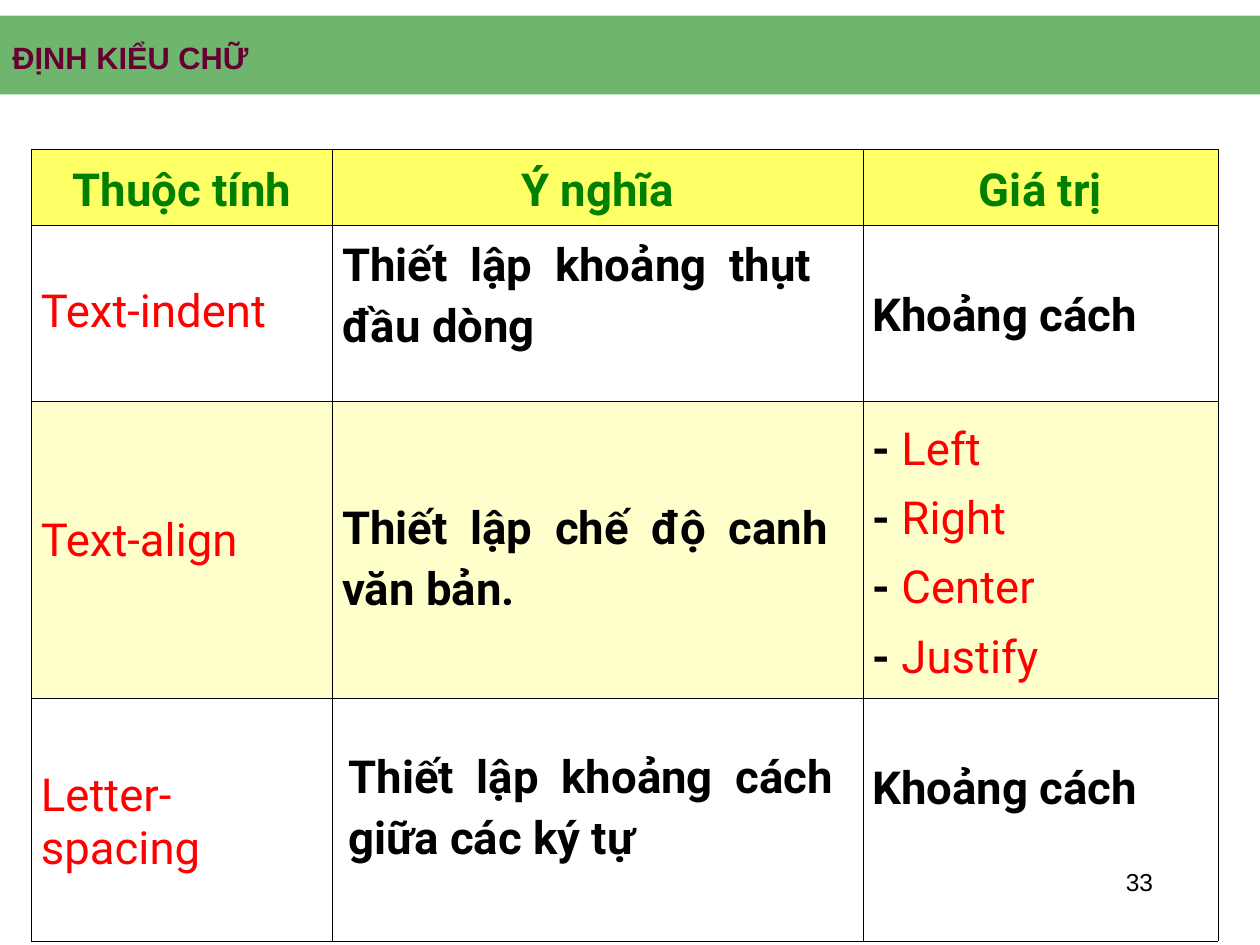
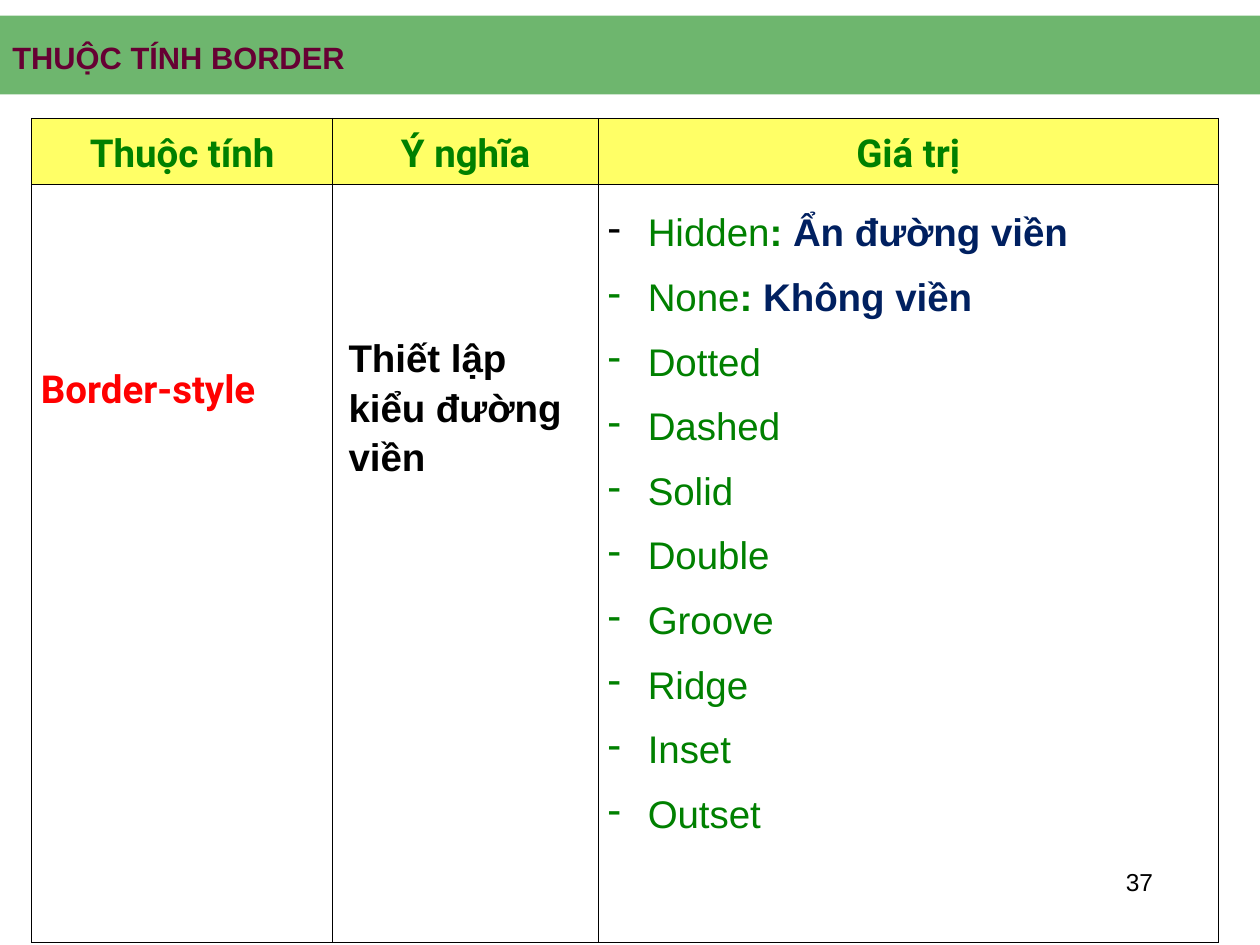
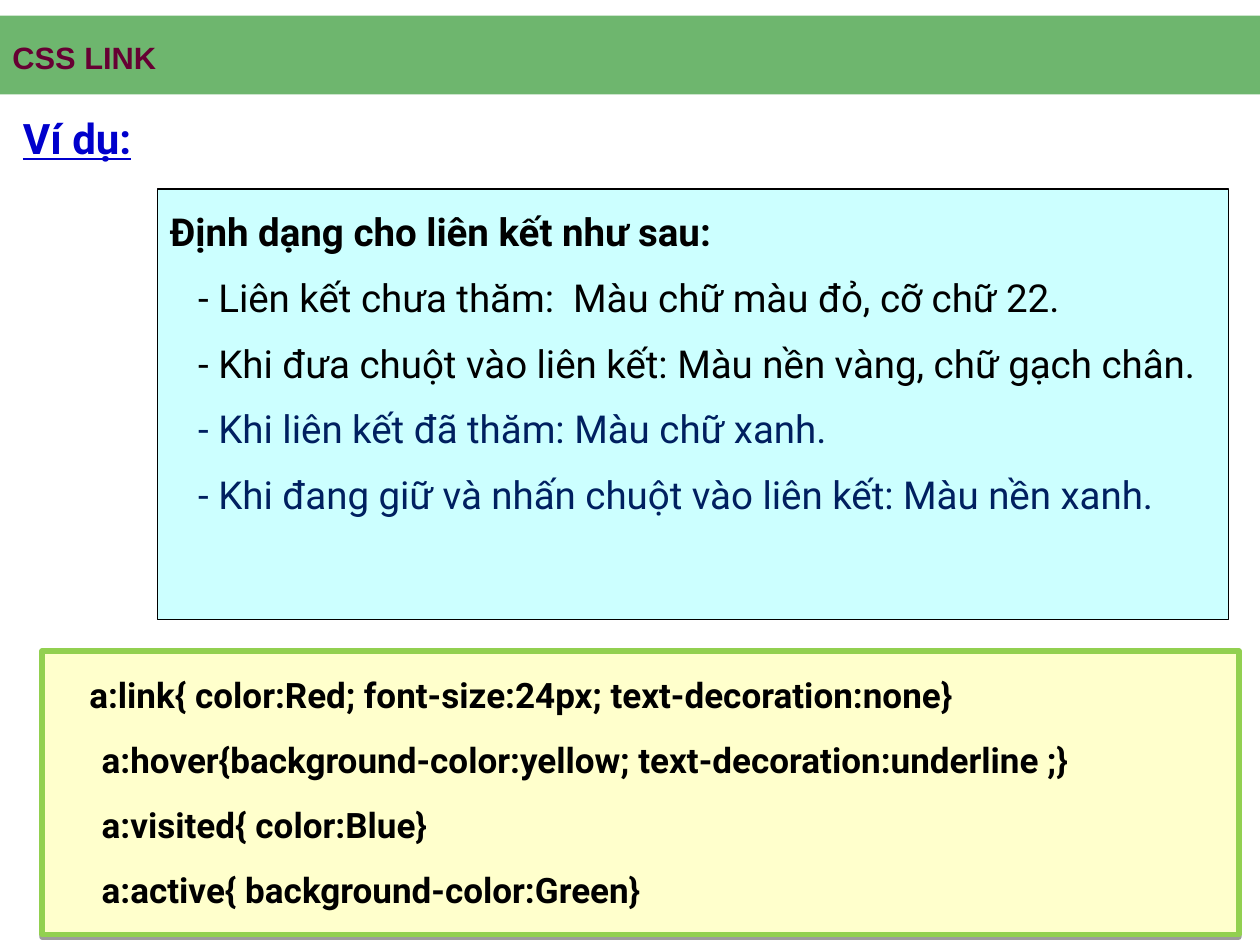
from dataclasses import dataclass

from lxml import etree
from pptx import Presentation
from pptx import util as u
from pptx.dml.color import RGBColor
from pptx.enum import shapes, text
from pptx.oxml import ns


@dataclass(frozen=True)
class Theme:
    green: str = "008000"
    plum: str = "660033"
    black: str = "000000"
    red: str = "FF0000"
    navy: str = "002060"
    blue: str = "0000CC"
    lime: str = "92D050"
    yellow: str = "FFFF66"
    cream: str = "FFFFCC"
    aqua: str = "CCFFFF"
    sans: str = "Arial"
    body: str = "Roboto"
    title_size: float = 17.6
    number_size: float = 14
    large: float = 26
    heading: float = 24
    medium: float = 22
    code: float = 20


theme = Theme()
COLUMNS, ROWS = 120, 90
MIDDLE = text.MSO_ANCHOR.MIDDLE
CENTER = text.PP_ALIGN.CENTER

deck = Presentation()
deck.slide_width, deck.slide_height = u.Inches(10), u.Inches(7.5)
unit = deck.slide_width / COLUMNS


def grid(*lengths):
    return [u.Emu(round(length * unit)) for length in lengths]


def write(frame, lines, size, font=theme.body, spacing=1.0, before=0, align=None,
          indents=(), bullets=()):
    frame.word_wrap = True
    for index, line in enumerate(lines):
        para = frame.paragraphs[0] if index == 0 else frame.add_paragraph()
        properties = para._p.get_or_add_pPr()
        if indents:
            properties.set("marL", str(grid(indents[index])[0]))
        if bullets:
            properties.set("indent", str(-grid(indents[index])[0]))
            tint = etree.SubElement(properties, ns.qn("a:buClr"))
            etree.SubElement(tint, ns.qn("a:srgbClr"), val=bullets[index])
            etree.SubElement(properties, ns.qn("a:buChar"), char="-")
        para.line_spacing = spacing
        para.space_before = u.Pt(before if index else 0)
        para.alignment = align
        for words, color, bold in line:
            span = para.add_run()
            span.text = words
            span.font.size, span.font.name, span.font.bold = u.Pt(size), font, bold
            span.font.color.rgb = RGBColor.from_string(color)


pages = []
for title, number in [("ĐỊNH KIỂU CHỮ", "33"), ("THUỘC TÍNH BORDER", "37"), ("CSS LINK", None)]:
    page = deck.slides.add_slide(deck.slide_layouts[6])
    pages.append(page)
    if number:
        box = page.shapes.add_textbox(*grid(86, 82, 25, 6))
        write(box.text_frame, [[(number, theme.black, False)]], theme.number_size,
              theme.sans, align=text.PP_ALIGN.RIGHT)
    band = page.shapes.add_shape(shapes.MSO_SHAPE.RECTANGLE, *grid(0, 1.5, COLUMNS, 7.5))
    band.shadow.inherit = False
    band.line.fill.background()
    band.fill.solid()
    band.fill.fore_color.rgb = RGBColor.from_string(theme.green)
    tint = band.fill._xPr.find(".//" + ns.qn("a:srgbClr"))
    etree.SubElement(tint, ns.qn("a:alpha"), val="57000")
    box = page.shapes.add_textbox(*grid(0, 2.9, COLUMNS, 5))
    box.text_frame.vertical_anchor = MIDDLE
    write(box.text_frame, [[(title, theme.plum, True)]], theme.title_size, theme.sans)

header = [dict(lines=[[(name, theme.green, True)]], spacing=1.15, align=CENTER)
          for name in ("Thuộc tính", "Ý nghĩa", "Giá trị")]
names = [dict(lines=[[(name, theme.red, False)]], top=top)
         for name, top in [("Text-indent", 5.7), ("Text-align", 10.8), ("Letter-spacing", 6.8)]]
meanings = [dict(lines=[[(words, theme.black, True)]], spacing=1.15, top=top, side=side)
            for words, top, side in [
                ("Thiết  lập  khoảng  thụt  đầu dòng", 0.6, 0.9),
                ("Thiết  lập  chế  độ  canh  văn bản.", 8.9, 0.9),
                ("Thiết  lập  khoảng  cách  giữa các ký tự", 4.3, 1.5)]]
distance = dict(lines=[[("Khoảng cách", theme.black, True)]], spacing=1.15, top=5.4)
alignments = dict(lines=[[("- ", theme.black, True), (name, theme.red, False)]
                         for name in ("Left", "Right", "Center", "Justify")], spacing=1.3)
values = [distance, alignments, distance]

border_name = dict(lines=[[("Border-style", theme.red, True)]], top=17.5)
border_meaning = dict(lines=[[("Thiết lập kiểu đường viền", theme.black, True)]],
                      font=theme.sans, spacing=1.15, top=14, side=1.5)
styles = [[("Hidden", theme.green, False), (": ", theme.green, True),
           ("Ẩn đường viền", theme.navy, True)],
          [("None", theme.green, False), (": ", theme.green, True),
           ("Không viền", theme.navy, True)]]
styles += [[(name, theme.green, False)] for name in
           ("Dotted", "Dashed", "Solid", "Double", "Groove", "Ridge", "Inset", "Outset")]
border_values = dict(lines=styles, font=theme.sans, spacing=1.5, indents=[3.8] * len(styles),
                     bullets=[theme.black] + [theme.green] * (len(styles) - 1))

tables = [
    (pages[0], 14.25, theme.large, [28.7, 50.5, 33.8], [7.15, 16.75, 28.3, 23.15],
     [theme.yellow, None, theme.cream, None], [header, *zip(names, meanings, values)]),
    (pages[1], 11.25, theme.medium, [28.7, 25.3, 59], [6.3, 72.2],
     [theme.yellow, None], [header, [border_name, border_meaning, border_values]]),
]
for page, top, size, widths, heights, fills, content in tables:
    place = grid(3, top, sum(widths), sum(heights))
    table = page.shapes.add_table(len(heights), len(widths), *place).table
    for column, width in zip(table.columns, grid(*widths)):
        column.width = width
    for row, height, fill, entries in zip(table.rows, grid(*heights), fills, content):
        row.height = height
        for cell, entry in zip(row.cells, entries):
            style = dict(entry)
            side = style.pop("side", 0.9)
            cell.margin_left, cell.margin_right = grid(side, side)
            cell.margin_top, cell.margin_bottom = grid(style.pop("top", 0.6), 0.6)
            if entries is header:
                cell.vertical_anchor = MIDDLE
            write(cell.text_frame, size=size, **style)
            properties = cell._tc.get_or_add_tcPr()
            for edge in ("a:lnL", "a:lnR", "a:lnT", "a:lnB"):
                line = etree.SubElement(properties, ns.qn(edge), w=str(u.Pt(0.45)))
                paint = etree.SubElement(line, ns.qn("a:solidFill"))
                etree.SubElement(paint, ns.qn("a:srgbClr"), val=theme.black)
            if fill:
                cell.fill.solid()
                cell.fill.fore_color.rgb = RGBColor.from_string(fill)
            else:
                cell.fill.background()

page = pages[2]
rules = [
    [("Định dạng cho liên kết như sau:", theme.black, True)],
    [("- Liên kết chưa thăm:  Màu chữ màu đỏ, cỡ chữ 22.", theme.black, False)],
    [("- Khi đưa chuột vào liên kết: Màu nền vàng, chữ gạch chân.", theme.black, False)],
    [("- Khi liên kết đã thăm: Màu chữ xanh.", theme.navy, False)],
    [("- Khi đang giữ và nhấn chuột vào liên kết: Màu nền xanh.", theme.navy, False)],
]
code = [[(line, theme.black, True)] for line in (
    "    a:link{ color:Red; font-size:24px; text-decoration:none}",
    "a:hover{background-color:yellow; text-decoration:underline ;}",
    "a:visited{ color:Blue}",
    "a:active{ background-color:Green}")]
panels = [
    ((15, 18, 102, 41), theme.aqua, theme.black, 0.75, rules, theme.medium, 1.2,
     [0, 2.7, 2.7, 2.7, 2.7]),
    ((4, 62, 114, 27), theme.cream, theme.lime, 3, code, theme.code, 1.3, [0, 4.5, 4.5, 4.5]),
]
for place, fill, edge, weight, lines, size, spacing, indents in panels:
    panel = page.shapes.add_shape(shapes.MSO_SHAPE.RECTANGLE, *grid(*place))
    panel.shadow.inherit = False
    panel.fill.solid()
    panel.fill.fore_color.rgb = RGBColor.from_string(fill)
    panel.line.color.rgb = RGBColor.from_string(edge)
    panel.line.width = u.Pt(weight)
    panel.text_frame.vertical_anchor = text.MSO_ANCHOR.TOP
    panel.text_frame.margin_top = grid(0.9)[0]
    write(panel.text_frame, lines, size, spacing=spacing, before=6,
          align=text.PP_ALIGN.LEFT, indents=indents)

effects = panel._element.spPr.find(ns.qn("a:effectLst"))
shadow = etree.SubElement(effects, ns.qn("a:outerShdw"), blurRad="0", dist=str(u.Pt(1.6)),
                          dir="5400000", rotWithShape="0")
tint = etree.SubElement(shadow, ns.qn("a:srgbClr"), val=theme.black)
etree.SubElement(tint, ns.qn("a:alpha"), val="38000")

box = page.shapes.add_textbox(*grid(1, 10, 118, 8))
box.text_frame.margin_top = grid(1.3)[0]
write(box.text_frame, [[("Ví dụ:", theme.blue, True)]], theme.heading, spacing=0.9)
box.text_frame.paragraphs[0].runs[0].font.underline = True

deck.save("out.pptx")
